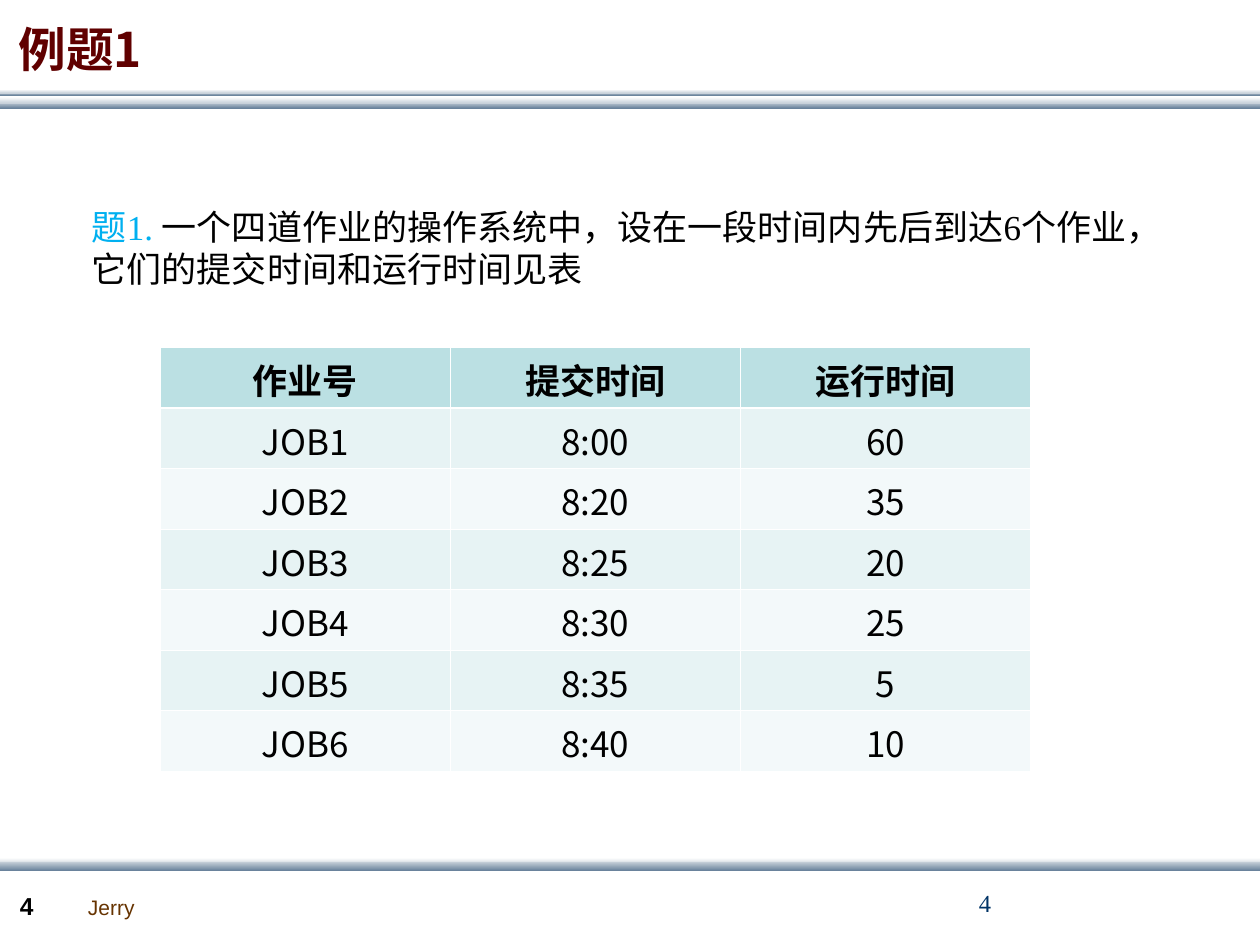
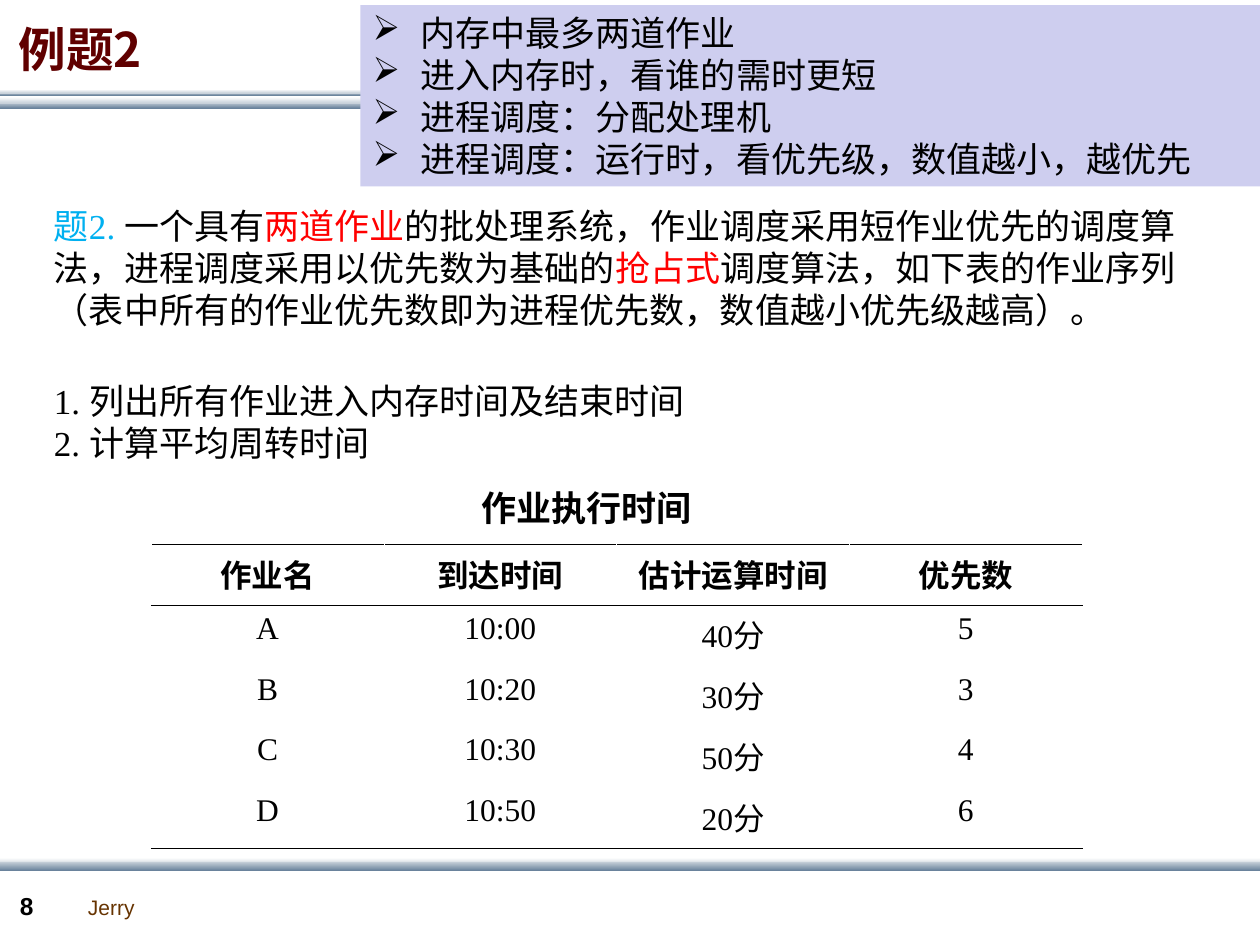
"""Two slides of job scheduling exercises, each with a table of jobs."""
from lxml.etree import SubElement as Sub
from pptx import Presentation
from pptx.dml.color import RGBColor as RGB
from pptx.enum.shapes import MSO_SHAPE as SHAPE
from pptx.enum.text import MSO_ANCHOR as ANCHOR, PP_ALIGN as ALIGN
from pptx.oxml.ns import qn
from pptx.util import Inches, Pt

BLACK = RGB(0, 0, 0)
WHITE = RGB(255, 255, 255)
RED = RGB(255, 0, 0)
SKY = RGB(0, 0xB0, 0xF0)
NAVY = RGB(0, 0x33, 0x66)
BROWN = RGB(0x66, 0x33, 0)
MAROON = RGB(0x60, 0, 0)
PALE = RGB(0xC8, 0xD1, 0xDA)
STEEL = RGB(0x6A, 0x83, 0x9C)
LILAC = RGB(0xCE, 0xCE, 0xEF)
TEAL = RGB(0xBB, 0xE0, 0xE3)
MINT = RGB(0xE7, 0xF3, 0xF4)
ICE = RGB(0xF3, 0xF9, 0xFA)
SANS, SERIF, ARIAL = "Noto Sans CJK SC", "Times New Roman", "Arial"


def write(frame, *paras, size=20, font=SERIF, color=BLACK, bold=False,
          align=None, wrap=True, space=None, before=None, bullet=None):
    """Fill a text frame; a paragraph is a string or a list of (text, colour)."""
    frame.word_wrap = wrap
    for i, runs in enumerate(paras):
        para = frame.add_paragraph() if i else frame.paragraphs[0]
        para.alignment, para.line_spacing, para.space_before = align, space, before
        for text, tint in [(runs, color)] if isinstance(runs, str) else runs:
            run = para.add_run()
            run.text = text
            run.font.size, run.font.bold, run.font.name = Pt(size), bold, font
            run.font.color.rgb = tint
            Sub(run.font._element, qn("a:ea"), typeface=SANS)
        if bullet:
            props = para._p.get_or_add_pPr()
            props.set("marL", str(Inches(0.38)))
            props.set("indent", str(-Inches(0.38)))
            Sub(Sub(props, qn("a:buClr")), qn("a:srgbClr"), val=str(color))
            Sub(props, qn("a:buChar"), char=bullet)


def edge(cell, side, color, width=0.45):
    """Draw one border of a cell."""
    line = Sub(cell._tc.get_or_add_tcPr(), qn("a:ln" + side), w=str(Pt(width)))
    Sub(Sub(line, qn("a:solidFill")), qn("a:srgbClr"), val=str(color))


deck = Presentation()
deck.slide_width, deck.slide_height = Inches(10), Inches(7.5)
bands = [
    (0.81, 0.05, PALE, STEEL),
    (0.73, 0.03, PALE, STEEL),
    (0.77, 0.05, WHITE, PALE),
    (0.71, 0.03, WHITE, PALE),
    (6.81, 0.05, WHITE, PALE),
    (6.84, 0.07, PALE, STEEL),
]

slides = []
for title, page in [("例题1", "4"), ("例题2", "8")]:
    slide = deck.slides.add_slide(deck.slide_layouts[6])
    slides.append(slide)
    for top, high, start, end in bands:
        band = slide.shapes.add_shape(
            SHAPE.RECTANGLE, 0, Inches(top), Inches(10.01), Inches(high))
        band.shadow.inherit = False
        band.line.fill.background()
        band.fill.gradient()
        band.fill.gradient_angle = 270
        for stop, color in zip(band.fill.gradient_stops, (start, end)):
            stop.color.rgb = color
    parts = [
        ((0.6, 7.05, 0.57, 0.3), "Jerry",
         dict(size=12, font=ARIAL, color=BROWN, wrap=False)),
        ((0.06, 7.02, 0.55, 0.34), page,
         dict(size=14, font=ARIAL, bold=True, before=Pt(8.8))),
        ((0.05, 0, 1.36, 0.83), title,
         dict(size=27.2, font=SANS, color=MAROON, bold=True, space=0.9)),
    ]
    for box, text, style in parts:
        frame = slide.shapes.add_textbox(*map(Inches, box)).text_frame
        write(frame, text, **style)
    frame.vertical_anchor = ANCHOR.MIDDLE

first, second = slides
bodies = [
    (first, (7.67, 7, 2.08, 0.5), ["4"], dict(size=14, color=NAVY)),
    (first, (0.63, 1.58, 8.51, 0.77), [[
        ("题1. ", SKY),
        ("一个四道作业的操作系统中，设在一段时间内先后到达6个作业，"
         "它们的提交时间和运行时间见表", BLACK),
    ]], {}),
    (second, (0.33, 1.57, 9.26, 1.1), [[
        ("题2. ", SKY),
        ("一个具有", BLACK),
        ("两道作业", RED),
        ("的批处理系统，作业调度采用短作业优先的调度算法，"
         "进程调度采用以优先数为基础的", BLACK),
        ("抢占式", RED),
        ("调度算法，如下表的作业序列（表中所有的作业优先数即为进程优先数，"
         "数值越小优先级越高）。", BLACK),
    ]], {}),
    (second, (0.33, 2.96, 7.58, 0.77),
     ["1. 列出所有作业进入内存时间及结束时间", "2. 计算平均周转时间"], {}),
    (second, (3.72, 3.81, 3.71, 0.44), ["作业执行时间"],
     dict(font=SANS, bold=True)),
]
for slide, box, paras, style in bodies:
    write(slide.shapes.add_textbox(*map(Inches, box)).text_frame, *paras, **style)

jobs = [
    ("作业号", "提交时间", "运行时间"),
    ("JOB1", "8:00", "60"),
    ("JOB2", "8:20", "35"),
    ("JOB3", "8:25", "20"),
    ("JOB4", "8:30", "25"),
    ("JOB5", "8:35", "5"),
    ("JOB6", "8:40", "10"),
]
tasks = [
    ("作业名", "到达时间", "估计运算时间", "优先数"),
    ("A", "10:00", "40分", "5"),
    ("B", "10:20", "30分", "3"),
    ("C", "10:30", "50分", "4"),
    ("D", "10:50", "20分", "6"),
]
white, thick, black = (WHITE, 0.45), (WHITE, 1.47), (BLACK, 0.45)
grids = [
    (first, (1.27, 2.76, 6.91, 3.36), jobs, dict(font=SANS),
     [TEAL] + [MINT, ICE] * 3, [white, thick] + [white] * 6),
    (second, (1.2, 4.32, 7.39, 2.41), tasks, dict(size=18),
     [None] * 5, [black, black, white, white, white, black]),
]
for slide, box, rows, style, fills, rules in grids:
    table = slide.shapes.add_table(
        len(rows), len(rows[0]), *map(Inches, box)).table
    table.first_row = table.horz_banding = False
    for r, row in enumerate(rows):
        for c, text in enumerate(row):
            cell = table.cell(r, c)
            write(cell.text_frame, text, align=ALIGN.CENTER, bold=r == 0, **style)
            edge(cell, "L", *white)
            edge(cell, "R", *white)
            edge(cell, "T", *rules[r])
            edge(cell, "B", *rules[r + 1])
            if fills[r]:
                cell.fill.solid()
                cell.fill.fore_color.rgb = fills[r]
            else:
                cell.fill.background()

panel = second.shapes.add_shape(
    SHAPE.RECTANGLE, *map(Inches, (2.86, 0.04, 7.14, 1.44)))
panel.shadow.inherit = False
panel.line.fill.background()
panel.fill.solid()
panel.fill.fore_color.rgb = LILAC
panel.text_frame.vertical_anchor = ANCHOR.TOP
write(panel.text_frame, "内存中最多两道作业", "进入内存时，看谁的需时更短",
      "进程调度：分配处理机", "进程调度：运行时，看优先级，数值越小，越优先",
      font=SANS, align=ALIGN.LEFT, bullet="➢")

deck.save("out.pptx")
